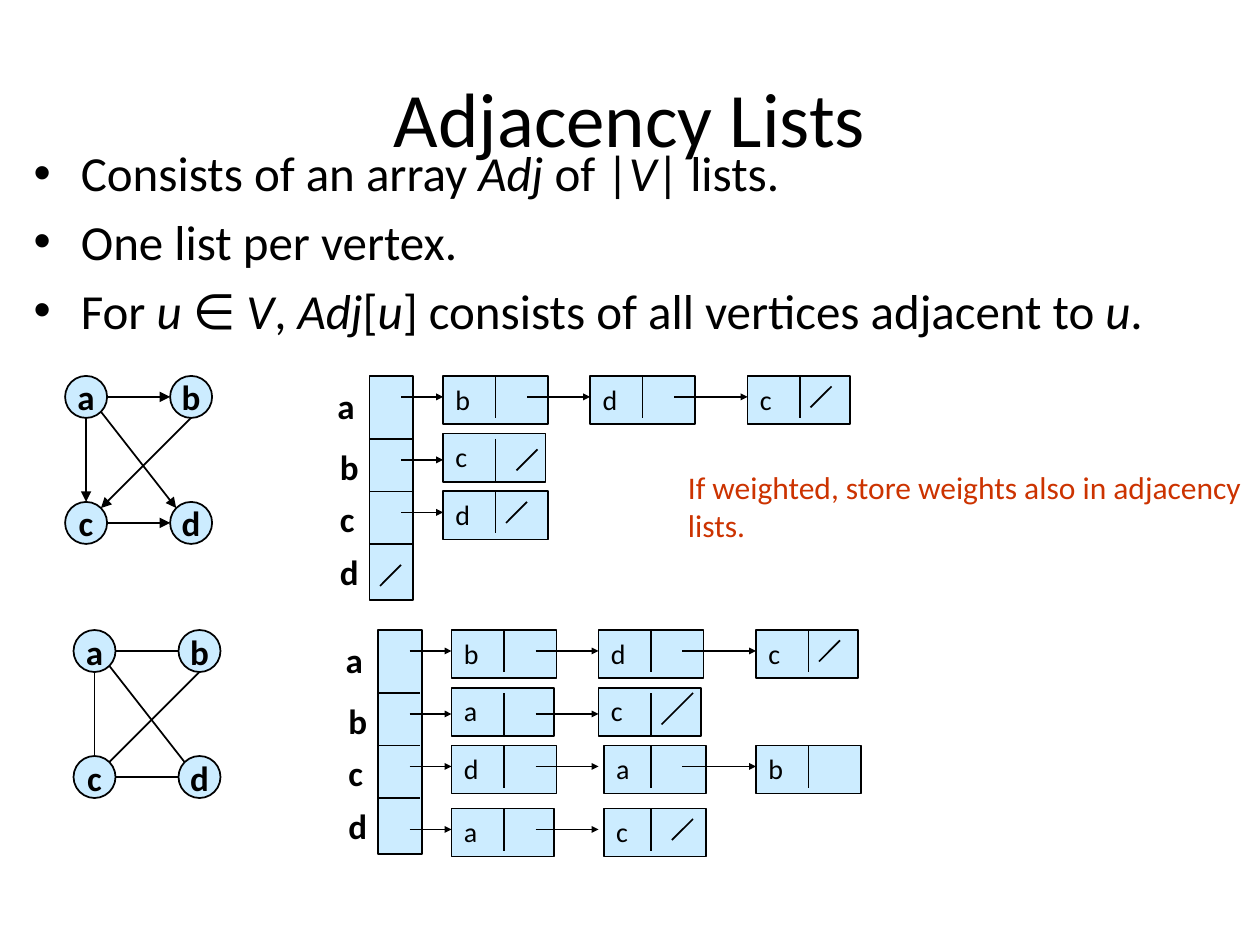
"""Build a slide that shows adjacency lists of a directed and an undirected graph."""
from lxml.etree import SubElement
from pptx import Presentation
from pptx.dml.color import RGBColor
from pptx.enum.shapes import MSO_CONNECTOR, MSO_SHAPE
from pptx.enum.text import MSO_ANCHOR, MSO_AUTO_SIZE, PP_ALIGN
from pptx.oxml.ns import qn
from pptx.util import Pt

COLORS = {"ink": "000000", "cell": "CCECFF", "remark": "CC3300"}
FONT = "Calibri"
NODE_SIZE = 24
NODES = {"a": (0, 0), "b": (60, 0), "c": (0, 72), "d": (60, 72)}
EDGES = [
    (24, 12, 60, 12),
    (72, 24, 20.5, 75.5),
    (12, 24, 12, 72),
    (20.5, 20.5, 63.5, 75.5),
    (24, 84, 60, 84),
]
ARRAY_LEFT = 174
COLUMNS = [216, 300, 390]
ROW_TOPS = [0, 33, 66, 102]
DIVIDER_TOPS = [0, 36, 66, 102]
LINK_LEVELS = [12, 48, 78, 114]
LABEL_TOPS = [1.5, 36, 66, 96]
BULLETS = [
    "Consists of an array *Adj* of |*V*| lists.",
    "One list per vertex.",
    "For *u *∈ *V*, *Adj*[*u*] consists of all vertices adjacent to *u*.",
]


def rgb(name):
    """Return the named colour."""
    return RGBColor.from_string(COLORS[name])


def write(paragraph, text, size, color="ink", bold=False, align=PP_ALIGN.LEFT):
    """Fill a paragraph with text, where asterisks enclose italics."""
    paragraph.alignment = align
    for index, piece in enumerate(text.split("*")):
        if piece:
            run = paragraph.add_run()
            run.text = piece
            run.font.name = FONT
            run.font.size = Pt(size)
            run.font.bold = bold
            run.font.italic = index % 2 == 1
            run.font.color.rgb = rgb(color)


def place(shape, left, top, width, height):
    """Move and resize a shape."""
    shape.left, shape.top = Pt(left), Pt(top)
    shape.width, shape.height = Pt(width), Pt(height)


def add_block(slide, kind, left, top, width, height):
    """Add a filled and outlined shape."""
    block = slide.shapes.add_shape(kind, Pt(left), Pt(top), Pt(width), Pt(height))
    block.shadow.inherit = False
    block.fill.solid()
    block.fill.fore_color.rgb = rgb("cell")
    block.line.color.rgb = rgb("ink")
    block.line.width = Pt(1)
    return block


def add_line(slide, x1, y1, x2, y2, head=None):
    """Add a line, with an arrowhead of the given size if there is one."""
    line = slide.shapes.add_connector(
        MSO_CONNECTOR.STRAIGHT, Pt(x1), Pt(y1), Pt(x2), Pt(y2))
    line.line.color.rgb = rgb("ink")
    line.line.width = Pt(1)
    properties = line._element.spPr
    if head:
        SubElement(properties.find(qn("a:ln")), qn("a:tailEnd"),
                   type="triangle", w=head, len=head)
    SubElement(properties, qn("a:effectLst"))


def add_label(slide, text, left, top, width, height, wrap=False, **style):
    """Add a text box."""
    label = slide.shapes.add_textbox(Pt(left), Pt(top), Pt(width), Pt(height))
    label.text_frame.word_wrap = wrap
    write(label.text_frame.paragraphs[0], text, **style)


def add_graph(slide, x, y, head=None):
    """Draw the four vertices and the edges between them."""
    for name, (left, top) in NODES.items():
        vertex = add_block(slide, MSO_SHAPE.OVAL, x + left, y + top, NODE_SIZE, NODE_SIZE)
        frame = vertex.text_frame
        frame.word_wrap = False
        frame.vertical_anchor = MSO_ANCHOR.MIDDLE
        write(frame.paragraphs[0], name, 20, bold=True, align=PP_ALIGN.CENTER)
    for x1, y1, x2, y2 in EDGES:
        add_line(slide, x + x1, y + y1, x + x2, y + y2, head)


def add_array(slide, x, y):
    """Draw the array with one labelled slot per vertex."""
    add_block(slide, MSO_SHAPE.RECTANGLE, x + ARRAY_LEFT, y, 25, 128)
    for name, top in zip(NODES, LABEL_TOPS):
        left = 148.5 if name == "a" else 150
        add_label(slide, name, x + left, y + top, 25, 31, size=20, bold=True)
    for top in LABEL_TOPS[1:]:
        add_line(slide, x + ARRAY_LEFT, y + top, x + ARRAY_LEFT + 24, y + top)


def add_cell(slide, name, left, top, divider, divider_top):
    """Draw one list cell with its value and its pointer field."""
    width = 60 if name in "bd" else 58.5
    cell = add_block(slide, MSO_SHAPE.RECTANGLE, left, top, width, 27.5)
    cell.text_frame.word_wrap = True
    cell.text_frame.vertical_anchor = MSO_ANCHOR.TOP
    write(cell.text_frame.paragraphs[0], name, 16)
    add_line(slide, divider, divider_top, divider, divider_top + 24)


def add_lists(slide, x, y, lists, slashes):
    """Draw the linked lists, and a slash for each null pointer."""
    add_array(slide, x, y)
    for row, names in enumerate(lists):
        for column, name in enumerate(names):
            start = x + COLUMNS[column]
            shift = 3 if column == 1 and row > 1 else 0
            add_cell(slide, name, start + shift, y + ROW_TOPS[row],
                     start + 30, y + DIVIDER_TOPS[row])
        sources = [192] + [left + 48 for left in COLUMNS]
        for source, target in list(zip(sources, COLUMNS))[:len(names)]:
            level = y + LINK_LEVELS[row]
            add_line(slide, x + source, level, x + target, level, "sm")
    for right, top, size in slashes:
        add_line(slide, x + right, y + top, x + right - size, y + top + size)


def fill_placeholders(slide):
    """Set the title and the bulleted list."""
    title, body = slide.placeholders[0], slide.placeholders[1]
    place(title, 36, 21.6, 648, 90)
    title.text_frame.vertical_anchor = MSO_ANCHOR.MIDDLE
    write(title.text_frame.paragraphs[0], "Adjacency Lists", 44, align=PP_ALIGN.CENTER)
    place(body, 12, 78, 696, 126)
    body.text_frame.auto_size = MSO_AUTO_SIZE.NONE
    for index, text in enumerate(BULLETS):
        point = body.text_frame.add_paragraph() if index else body.text_frame.paragraphs[0]
        properties = point._p.get_or_add_pPr()
        properties.set("marL", str(Pt(27)))
        properties.set("indent", str(Pt(-27)))
        point.space_before = Pt(5.6 if index else 0)
        write(point, text, 28)


def main():
    """Build and save the slide."""
    deck = Presentation()
    deck.slide_width, deck.slide_height = Pt(720), Pt(540)
    slide = deck.slides.add_slide(deck.slide_layouts[1])
    fill_placeholders(slide)
    directed, undirected = (37.2, 214.8), (42, 360)
    add_graph(slide, *directed, head="med")
    add_lists(slide, *directed, ["bdc", "c", "d"],
              [(438, 6, 12), (270, 42, 12), (264, 72, 12), (192, 108, 12)])
    add_graph(slide, *undirected)
    add_lists(slide, *undirected, ["bdc", "ac", "dab", "ac"],
              [(438, 6, 12), (354, 36, 18), (354, 108, 12)])
    add_label(slide, "If weighted, store weights also in adjacency lists.",
              386, 264, 334, 65, wrap=True, size=18, color="remark")
    deck.save("out.pptx")


if __name__ == "__main__":
    main()
